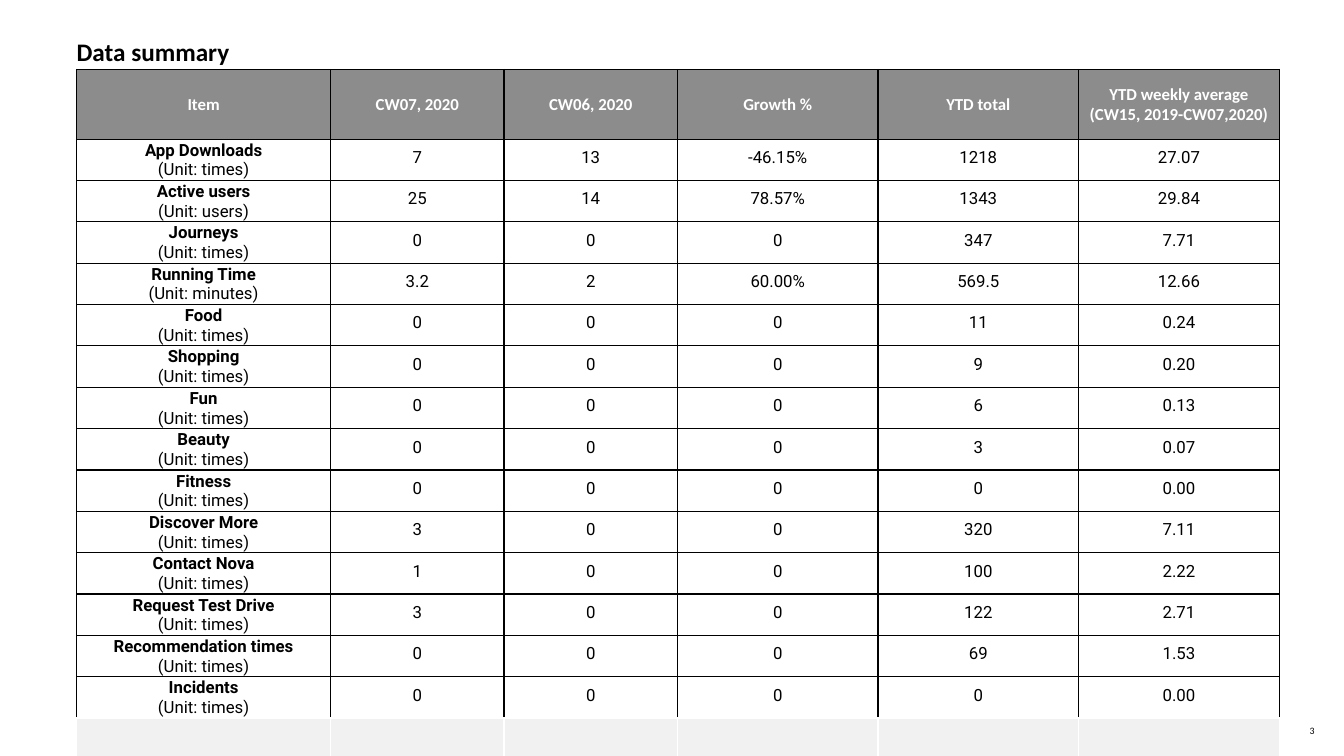
from dataclasses import dataclass

from lxml import etree
from pptx import Presentation
from pptx import util as u
from pptx.dml.color import RGBColor
from pptx.enum import text
from pptx.oxml import ns


@dataclass(frozen=True)
class Theme:
    heading_font: str = "Calibri"
    body_font: str = "Roboto"
    black: str = "000000"
    white: str = "FFFFFF"
    header_fill: str = "8C8C8C"
    footer_fill: str = "F1F1F1"
    title_size: int = 18
    table_size: int = 12
    number_size: int = 7
    border_width: int = 1


THEME = Theme()

HEADERS = ["Item", "CW07, 2020", "CW06, 2020", "Growth %", "YTD total",
           "YTD weekly average\n(CW15, 2019-CW07,2020)"]
# Item, unit, then one value for each remaining column
ITEMS = [
    ("App Downloads", "times", "7", "13", "-46.15%", "1218", "27.07"),
    ("Active users", "users", "25", "14", "78.57%", "1343", "29.84"),
    ("Journeys", "times", "0", "0", "0", "347", "7.71"),
    ("Running Time", "minutes", "3.2", "2", "60.00%", "569.5", "12.66"),
    ("Food", "times", "0", "0", "0", "11", "0.24"),
    ("Shopping", "times", "0", "0", "0", "9", "0.20"),
    ("Fun", "times", "0", "0", "0", "6", "0.13"),
    ("Beauty", "times", "0", "0", "0", "3", "0.07"),
    ("Fitness", "times", "0", "0", "0", "0", "0.00"),
    ("Discover More", "times", "3", "0", "0", "320", "7.11"),
    ("Contact Nova", "times", "1", "0", "0", "100", "2.22"),
    ("Request Test Drive", "times", "3", "0", "0", "122", "2.71"),
    ("Recommendation times", "times", "0", "0", "0", "69", "1.53"),
    ("Incidents", "times", "0", "0", "0", "0", "0.00"),
]
COLUMN_WIDTHS = [2.52, 1.72, 1.72, 1.99, 1.99, 1.99]
HEADER_HEIGHT, ITEM_HEIGHT, FOOTER_HEIGHT = 0.69, 0.4, 0.38
TALL_ITEMS = {"Running Time": 0.41, "Beauty": 0.41,
              "Contact Nova": 0.41, "Request Test Drive": 0.41}


def style_paragraph(paragraph, font_name, size, color, bold=False):
    paragraph.font.name = font_name
    paragraph.font.size = u.Pt(size)
    paragraph.font.bold = bold
    paragraph.font.color.rgb = RGBColor.from_string(color)


def clear_margins(frame):
    frame.margin_left = frame.margin_right = 0
    frame.margin_top = frame.margin_bottom = 0


def set_borders(cell, color, bottom_color):
    properties = cell._tc.get_or_add_tcPr()
    sides = {"lnL": color, "lnR": color, "lnT": color, "lnB": bottom_color}
    for index, (side, side_color) in enumerate(sides.items()):
        line = etree.Element(ns.qn(f"a:{side}"), w=str(u.Pt(THEME.border_width)))
        fill = etree.SubElement(line, ns.qn("a:solidFill"))
        etree.SubElement(fill, ns.qn("a:srgbClr"), val=side_color)
        properties.insert(index, line)


def format_cell(cell, words="", fill=None, bottom_margin=0.0,
                border=THEME.black, bottom_border=None):
    cell.text = words
    cell.vertical_anchor = text.MSO_ANCHOR.MIDDLE
    cell.margin_left = cell.margin_right = cell.margin_top = u.Inches(0.01)
    cell.margin_bottom = u.Inches(bottom_margin)
    if fill:
        cell.fill.solid()
        cell.fill.fore_color.rgb = RGBColor.from_string(fill)
    else:
        cell.fill.background()
    set_borders(cell, border, bottom_border or border)
    for paragraph in cell.text_frame.paragraphs:
        paragraph.alignment = text.PP_ALIGN.CENTER
    return cell.text_frame.paragraphs


def add_title(slide, left, top, width, height):
    title = slide.shapes.title
    title.left, title.top = u.Inches(left), u.Inches(top)
    title.width, title.height = u.Inches(width), u.Inches(height)
    frame = title.text_frame
    frame.text = "Data summary"
    frame.auto_size = text.MSO_AUTO_SIZE.NONE
    frame.vertical_anchor = text.MSO_ANCHOR.TOP
    clear_margins(frame)
    paragraph = frame.paragraphs[0]
    paragraph.alignment = text.PP_ALIGN.LEFT
    paragraph.line_spacing = 1.1
    style_paragraph(paragraph, THEME.heading_font, THEME.title_size, THEME.black, True)


def add_summary_table(slide, left, top):
    heights = [HEADER_HEIGHT, *(TALL_ITEMS.get(item[0], ITEM_HEIGHT) for item in ITEMS),
               FOOTER_HEIGHT]
    table = slide.shapes.add_table(
        len(heights), len(HEADERS), u.Inches(left), u.Inches(top),
        u.Inches(sum(COLUMN_WIDTHS)), u.Inches(sum(heights))).table
    table.horz_banding = False
    for column, width in zip(table.columns, COLUMN_WIDTHS):
        column.width = u.Inches(width)
    for row, height in zip(table.rows, heights):
        row.height = u.Inches(height)

    # Header row
    for column, words in enumerate(HEADERS):
        for paragraph in format_cell(table.cell(0, column), words, THEME.header_fill):
            style_paragraph(paragraph, THEME.heading_font, THEME.table_size,
                            THEME.white, True)

    # Item rows
    for row, (name, unit, *values) in enumerate(ITEMS, start=1):
        bottom = THEME.white if row == len(ITEMS) else THEME.black
        labels = format_cell(table.cell(row, 0), f"{name}\n(Unit: {unit})",
                             bottom_border=bottom)
        for paragraph, bold in zip(labels, (True, False)):
            style_paragraph(paragraph, THEME.body_font, THEME.table_size,
                            THEME.black, bold)
        for column, value in enumerate(values, start=1):
            paragraph, = format_cell(table.cell(row, column), value,
                                     bottom_margin=0.05, bottom_border=bottom)
            style_paragraph(paragraph, THEME.body_font, THEME.table_size, THEME.black)

    # Empty closing row
    for column in range(len(HEADERS)):
        format_cell(table.cell(len(heights) - 1, column), fill=THEME.footer_fill,
                    border=THEME.white)


def add_page_number(slide, left, top, width, height):
    box = slide.shapes.add_textbox(u.Inches(left), u.Inches(top),
                                   u.Inches(width), u.Inches(height))
    frame = box.text_frame
    frame.word_wrap = True
    frame.vertical_anchor = text.MSO_ANCHOR.MIDDLE
    clear_margins(frame)
    frame.text = "3"
    style_paragraph(frame.paragraphs[0], THEME.heading_font, THEME.number_size,
                    THEME.black)


def main():
    presentation = Presentation()
    presentation.slide_width = u.Inches(13.33)
    presentation.slide_height = u.Inches(7.5)
    slide = presentation.slides.add_slide(presentation.slide_layouts[5])
    add_page_number(slide, 12.99, 7.16, 0.34, 0.17)
    add_title(slide, 0.76, 0.33, 12.4, 0.67)
    add_summary_table(slide, 0.76, 0.69)
    presentation.save("out.pptx")


if __name__ == "__main__":
    main()
